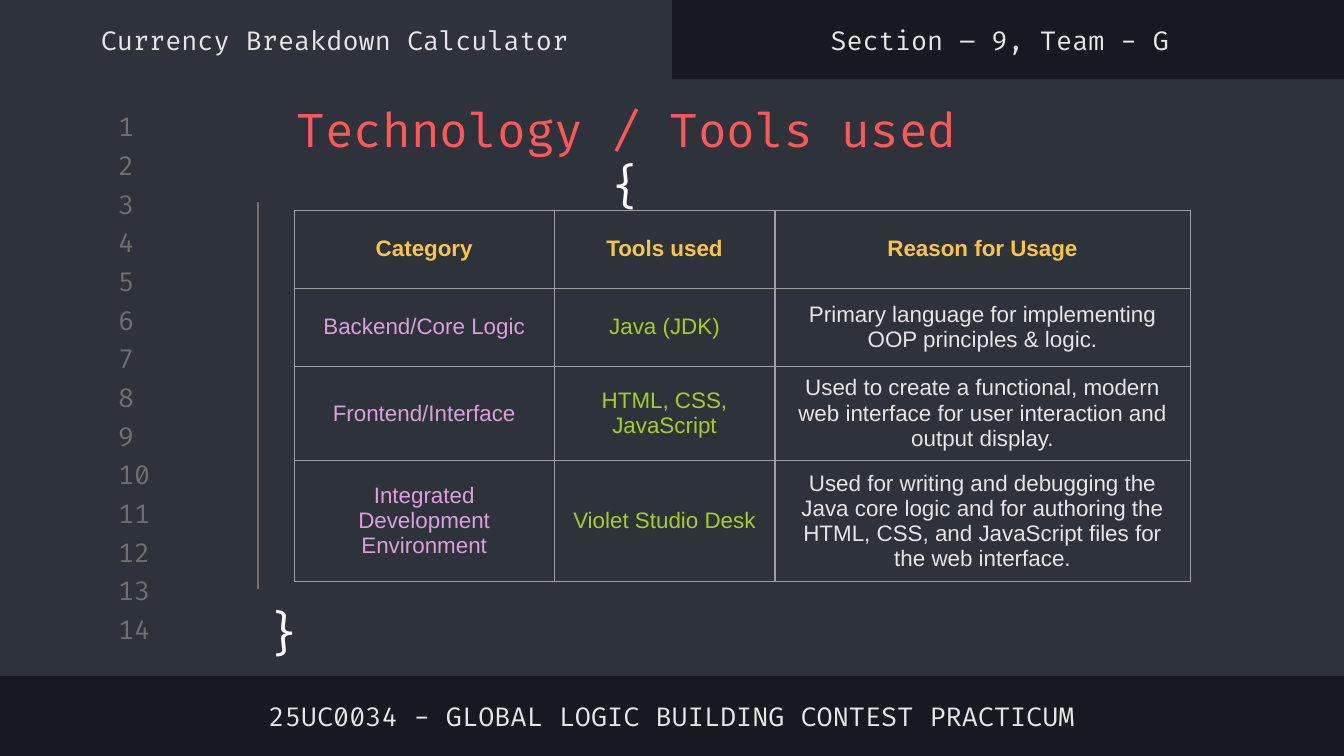
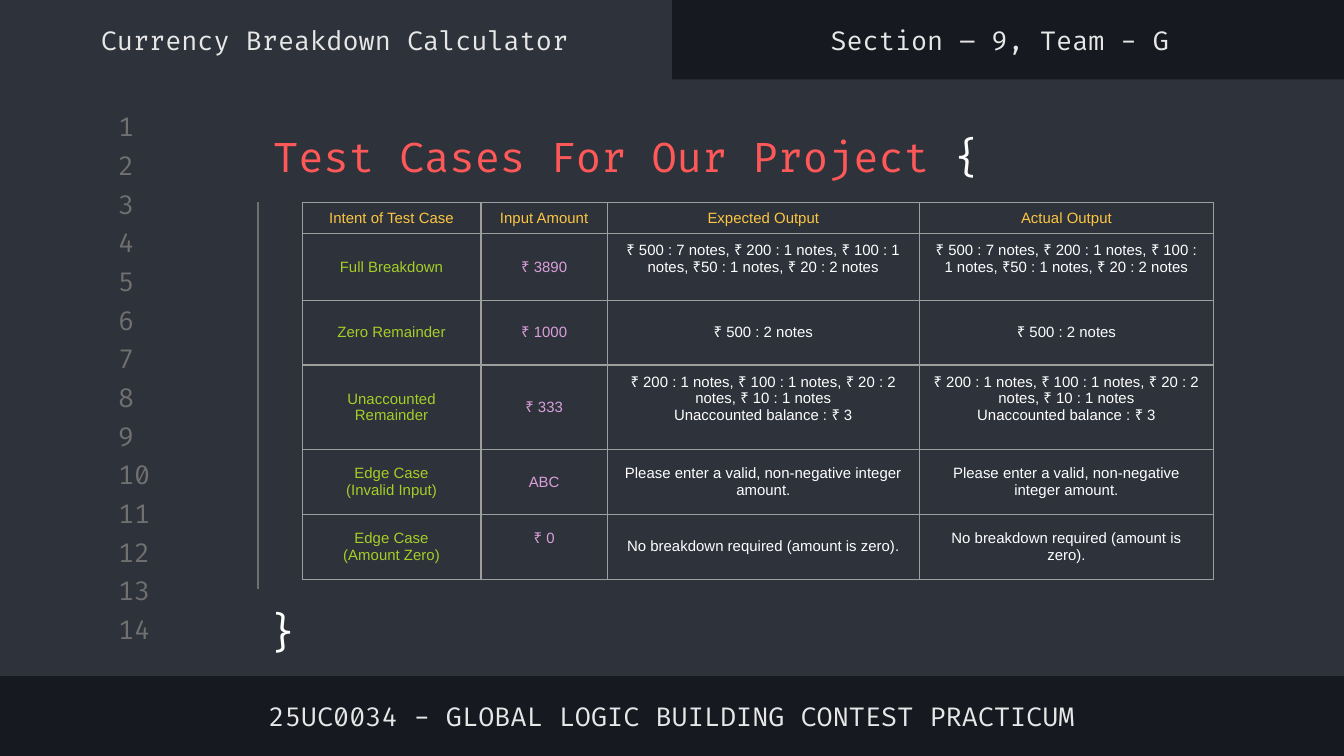
from lxml.etree import SubElement
from pptx import Presentation
from pptx.dml.color import RGBColor
from pptx.enum.shapes import MSO_CONNECTOR, MSO_SHAPE
from pptx.enum.text import MSO_ANCHOR, MSO_AUTO_SIZE, PP_ALIGN
from pptx.oxml import parse_xml
from pptx.oxml.ns import nsdecls, qn
from pptx.util import Pt

NIGHT = RGBColor(0x16, 0x19, 0x1F)
PANEL = RGBColor(0x2E, 0x32, 0x3B)
GREY = RGBColor(0x70, 0x70, 0x70)
LIGHT = RGBColor(0xE7, 0xE7, 0xE7)
WHITE = RGBColor(0xFF, 0xFF, 0xFF)
RED = RGBColor(0xFF, 0x58, 0x58)
YELLOW = RGBColor(0xFC, 0xC6, 0x42)
PINK = RGBColor(0xDB, 0xA0, 0xDB)
GREEN = RGBColor(0xA5, 0xCF, 0x27)
GRID = RGBColor(0x9E, 0x9E, 0x9E)
CODE_FONT = "Fira Code"
TABLE_FONT = "Arial"
CELL_SPACE = 3.6

FOOTER = "25UC0034 - GLOBAL LOGIC BUILDING CONTEST PRACTICUM"
BANDS = [
    (0, 369.4, 720, FOOTER),
    (-0.7, 7.2, 360, "Currency Breakdown Calculator"),
    (360, 7.2, 360, "Section – 9, Team - G "),
]

BREAKDOWN_3890 = "₹ 500 : 7 notes, ₹ 200 : 1 notes, ₹ 100 : 1 notes, ₹50 : 1 notes, ₹ 20 : 2 notes"
BREAKDOWN_333 = "₹ 200 : 1 notes, ₹ 100 : 1 notes, ₹ 20 : 2 notes, ₹ 10 : 1 notes\nUnaccounted balance : ₹ 3"
INVALID = "Please enter a valid, non-negative integer amount."
NOTHING_DUE = "No breakdown required (amount is zero)."

# "raised" lists the cells (row, column) whose text sits half a line above the middle.
TOPICS = [
    {
        "title": "Technology / Tools used ",
        "title_size": 25,
        "table_at": (157.7, 112.6),
        "columns": [139.2, 118.3, 222.5],
        "heights": [41.8] * 4,
        "size": 12,
        "header_bold": True,
        "colours": [PINK, GREEN, LIGHT],
        "raised": [],
        "rows": [
            ["Category", "Tools used", "Reason for Usage"],
            ["Backend/Core Logic", "Java (JDK)",
             "Primary language for implementing OOP principles & logic."],
            ["Frontend/Interface", "HTML, CSS, JavaScript",
             "Used to create a functional, modern web interface for user interaction "
             "and output display."],
            ["Integrated Development Environment", "Violet Studio Desk",
             "Used for writing and debugging the Java core logic and for authoring the "
             "HTML, CSS, and JavaScript files for the web interface."],
        ],
    },
    {
        "title": "Test Cases For Our Project ",
        "title_size": 22,
        "table_at": (161.9, 108.4),
        "columns": [95.8, 67.7, 167.2, 157.6],
        "heights": [16] + [34.8] * 5,
        "size": 8,
        "header_bold": False,
        "colours": [GREEN, PINK, WHITE, WHITE],
        "raised": [(1, 2), (1, 3), (3, 2), (3, 3), (5, 1)],
        "rows": [
            ["Intent of Test Case", "Input Amount", "Expected Output", "Actual Output"],
            ["Full Breakdown", "₹ 3890", BREAKDOWN_3890, BREAKDOWN_3890],
            ["Zero Remainder", "₹ 1000", "₹ 500 : 2 notes", "₹ 500 : 2 notes"],
            ["Unaccounted Remainder", "₹ 333", BREAKDOWN_333, BREAKDOWN_333],
            ["Edge Case\n(Invalid Input)", "ABC", INVALID, INVALID],
            ["Edge Case\n(Amount Zero)", "₹ 0", NOTHING_DUE, NOTHING_DUE],
        ],
    },
]


def style_text(frame, size, colour, align, font=CODE_FONT, bold=False):
    for paragraph in frame.paragraphs:
        paragraph.alignment = align
        for run in paragraph.runs:
            run.font.name = font
            run.font.size = Pt(size)
            run.font.bold = bold
            run.font.color.rgb = colour


def add_code_text(slide, text, place, size, colour, align=PP_ALIGN.LEFT):
    """Add a vertically centred text box in the code font."""
    box = slide.shapes.add_textbox(*[Pt(length) for length in place])
    frame = box.text_frame
    frame.text = text
    frame.word_wrap = True
    frame.vertical_anchor = MSO_ANCHOR.MIDDLE
    frame.margin_top = frame.margin_bottom = Pt(7.2)
    style_text(frame, size, colour, align)
    return box


prs = Presentation()
prs.slide_width, prs.slide_height = Pt(720), Pt(405)
layout = prs.slide_layouts[5]
layout.background.fill.solid()
layout.background.fill.fore_color.rgb = NIGHT
for placeholder in list(layout.placeholders):
    if placeholder.placeholder_format.idx != 0:
        placeholder.element.getparent().remove(placeholder.element)
layout_title = layout.placeholders[0]
layout_title.left, layout_title.top = Pt(137.5), Pt(40.3)
layout_title.width, layout_title.height = Pt(396), Pt(87.1)

slides = [prs.slides.add_slide(layout) for topic in TOPICS]

# The editor panel and line numbers are drawn once, then moved to the layout.
editor = []
for top, width, height in [(42.5, 720, 319.7), (0, 360, 46.8)]:
    panel = slides[0].shapes.add_shape(MSO_SHAPE.RECTANGLE, 0, Pt(top), Pt(width), Pt(height))
    panel.shadow.inherit = False
    panel.fill.solid()
    panel.fill.fore_color.rgb = PANEL
    panel.line.fill.background()
    editor.append(panel)
for index in range(14):
    place = (56.2, 59 + 20.72 * index, 33.8, 17.3)
    editor.append(add_code_text(slides[0], str(index + 1), place, 14, GREY))
for part in editor:
    layout.shapes.element.append(part.element)

for slide, topic in zip(slides, TOPICS):
    heading = slide.shapes.title.text_frame
    heading.text = topic["title"]
    heading.paragraphs[0].add_run().text = "{"
    heading.word_wrap = True
    heading.auto_size = MSO_AUTO_SIZE.NONE
    heading.vertical_anchor = MSO_ANCHOR.MIDDLE
    heading.margin_left = heading.margin_right = Pt(7.2)
    heading.margin_top = heading.margin_bottom = Pt(7.2)
    style_text(heading, topic["title_size"], RED, PP_ALIGN.CENTER)
    heading.paragraphs[0].runs[1].font.color.rgb = WHITE

    add_code_text(slide, "}", (137.5, 307.4, 39.6, 61.9), topic["title_size"], WHITE)

    block_line = slide.shapes.add_connector(
        MSO_CONNECTOR.STRAIGHT, Pt(138.2), Pt(108.2), Pt(138.2), Pt(315.4))
    block_line.line.color.rgb = GREY
    block_line.line.width = Pt(0.75)
    SubElement(block_line.element.spPr, qn("a:effectLst"))

    for left, top, width, text in BANDS:
        add_code_text(slide, text, (left, top, width, 28.1), 14, LIGHT, PP_ALIGN.CENTER)

    rows, columns, size = topic["rows"], topic["columns"], topic["size"]
    left, top = topic["table_at"]
    table = slide.shapes.add_table(
        len(rows), len(columns), Pt(left), Pt(top),
        Pt(sum(columns)), Pt(sum(topic["heights"]))).table
    table.first_row = table.horz_banding = False
    for column, width in zip(table.columns, columns):
        column.width = Pt(width)
    for r, row in enumerate(rows):
        table.rows[r].height = Pt(topic["heights"][r])
        for c, text in enumerate(row):
            cell = table.cell(r, c)
            cell.text_frame.text = text
            cell.vertical_anchor = MSO_ANCHOR.MIDDLE
            cell.margin_left = cell.margin_right = Pt(7.2)
            cell.margin_top = Pt(CELL_SPACE)
            lift = 1.15 * size if (r, c) in topic["raised"] else 0
            cell.margin_bottom = Pt(CELL_SPACE + lift)
            style_text(cell.text_frame, size, YELLOW if r == 0 else topic["colours"][c],
                       PP_ALIGN.CENTER, TABLE_FONT, r == 0 and topic["header_bold"])
            cell.fill.background()
            properties = cell._tc.get_or_add_tcPr()
            for position, side in enumerate(["lnL", "lnR", "lnT", "lnB"]):
                properties.insert(position, parse_xml(
                    f'<a:{side} {nsdecls("a")} w="{Pt(0.75)}"><a:solidFill>'
                    f'<a:srgbClr val="{GRID}"/></a:solidFill></a:{side}>'))

prs.save("out.pptx")
